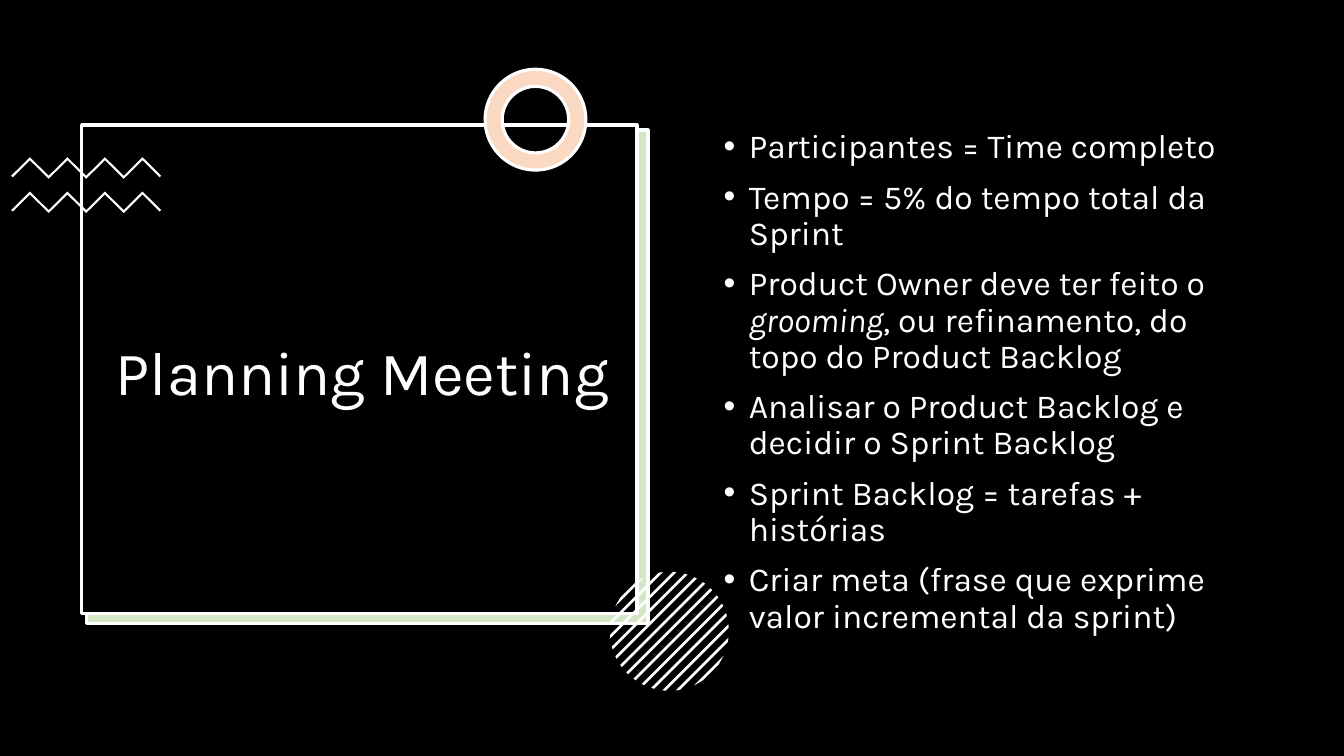
"""Builds the Planning Meeting slide."""
from math import sqrt

from lxml import etree
from pptx import Presentation
from pptx.dml.color import RGBColor
from pptx.enum.shapes import MSO_SHAPE
from pptx.enum.text import MSO_ANCHOR, PP_ALIGN
from pptx.oxml.ns import qn
from pptx.util import Pt

RECT, DONUT = MSO_SHAPE.RECTANGLE, MSO_SHAPE.DONUT
MIDDLE, CENTER = MSO_ANCHOR.MIDDLE, PP_ALIGN.CENTER
WHITE, BLACK, GREEN, PEACH = "FFFFFF", "000000", "D4E6C8", "FAD8C1"


def paint(fill, color):
    fill.solid()
    fill.fore_color.rgb = RGBColor.from_string(color)


def outline(points):
    dots = [(Pt(x), Pt(y)) for x, y in points]
    pen = slide.shapes.build_freeform(*dots[0], scale=1.0)
    pen.add_line_segments(dots[1:], close=True)
    shape = pen.convert_to_shape()
    shape.shadow.inherit = False
    paint(shape.fill, WHITE)
    shape.line.fill.background()


deck = Presentation()
deck.slide_width, deck.slide_height = Pt(960), Pt(540)
slide = deck.slides.add_slide(deck.slide_layouts[6])
paint(slide.background.fill, BLACK)

frames = [
    (RECT, 61.9, 92.9, 401, 352.8, GREEN),
    (RECT, 58.3, 89.3, 396.7, 349.2, BLACK),
]
ring = (DONUT, 346.5, 49.5, 72, 72, PEACH)
for kind, left, top, width, height, color in frames + [ring]:
    shape = slide.shapes.add_shape(kind, Pt(left), Pt(top), Pt(width), Pt(height))
    shape.shadow.inherit = False
    paint(shape.fill, color)
    paint(shape.line.fill, WHITE)
    shape.line.width = Pt(2.25)
    if kind == DONUT:
        shape.adjustments[0] = 0.17
        paint(shape.fill, color)

for top in (112.3, 136.8):
    upper = [(8 + 13.4 * i, top + 13.3 * (1 - i % 2)) for i in range(9)]
    lower = [(x, y + 2.1) for x, y in upper[1:-1]]
    start = (upper[0][0] + 1.2, upper[0][1] + 1)
    end = (upper[-1][0] - 1.2, upper[-1][1] + 1)
    outline(upper + [end] + lower[::-1] + [start])

mid_x, mid_y, radius = 478.1, 450.9, 42.5
pitch, half = 6.8, 0.95
for i in range(-6, 7):
    near, far = pitch * i - half, pitch * i + half
    corners = []
    for u, sign in ((near, 1), (far, 1), (far, -1), (near, -1)):
        v = sign * sqrt(radius ** 2 - u ** 2)
        corners.append((mid_x + (u + v) / sqrt(2), mid_y + (u - v) / sqrt(2)))
    outline(corners)

title = [[("Planning Meeting", False)]]
points = [
    [("Participantes = Time completo", False)],
    [("Tempo = 5% do tempo total da Sprint", False)],
    [("Product Owner deve ter feito o ", False), ("grooming", True),
     (", ou refinamento, do topo do Product Backlog", False)],
    [("Analisar o Product Backlog e decidir o Sprint Backlog", False)],
    [("Sprint Backlog = tarefas + histórias", False)],
    [("Criar meta (frase que exprime valor incremental da sprint)", False)],
]
boxes = [
    (66.2, 109.4, 385.9, 318.2, 44, title),
    (509.8, 89.3, 391.7, 342.7, 24, points),
]
for left, top, width, height, size, lines in boxes:
    box = slide.shapes.add_textbox(Pt(left), Pt(top), Pt(width), Pt(height))
    frame = box.text_frame
    frame.word_wrap = True
    if lines is title:
        frame.vertical_anchor = MIDDLE
    for i, line in enumerate(lines):
        para = frame.paragraphs[0] if i == 0 else frame.add_paragraph()
        para.line_spacing = 0.9
        if i > 0:
            para.space_before = Pt(10)
        if lines is title:
            para.alignment = CENTER
        else:
            props = para._p.get_or_add_pPr()
            props.set("marL", str(Pt(18)))
            props.set("indent", str(Pt(-18)))
            etree.SubElement(props, qn("a:buFont")).set("typeface", "Arial")
            etree.SubElement(props, qn("a:buChar")).set("char", "•")
        for text, slant in line:
            run = para.add_run()
            run.text = text
            run.font.name = "Karla"
            run.font.size = Pt(size)
            run.font.italic = slant
            paint(run.font.fill, WHITE)

deck.save("out.pptx")
